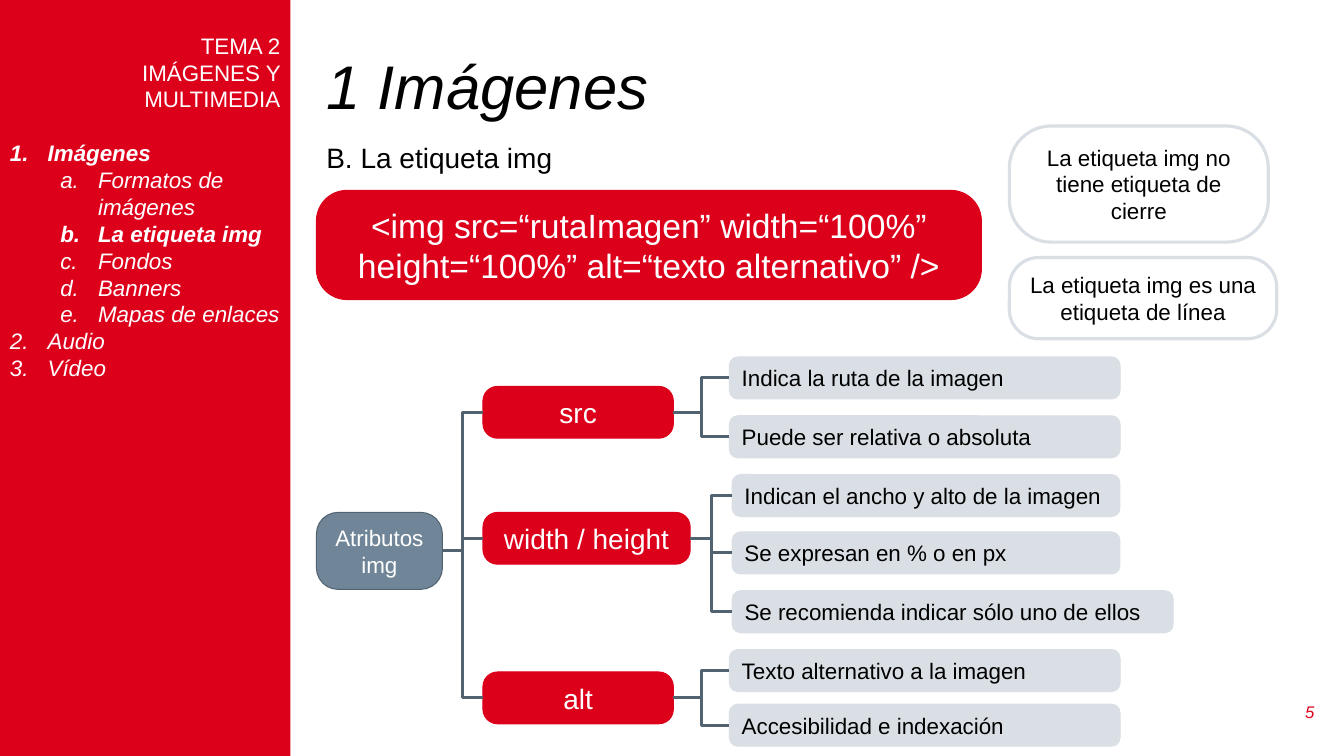
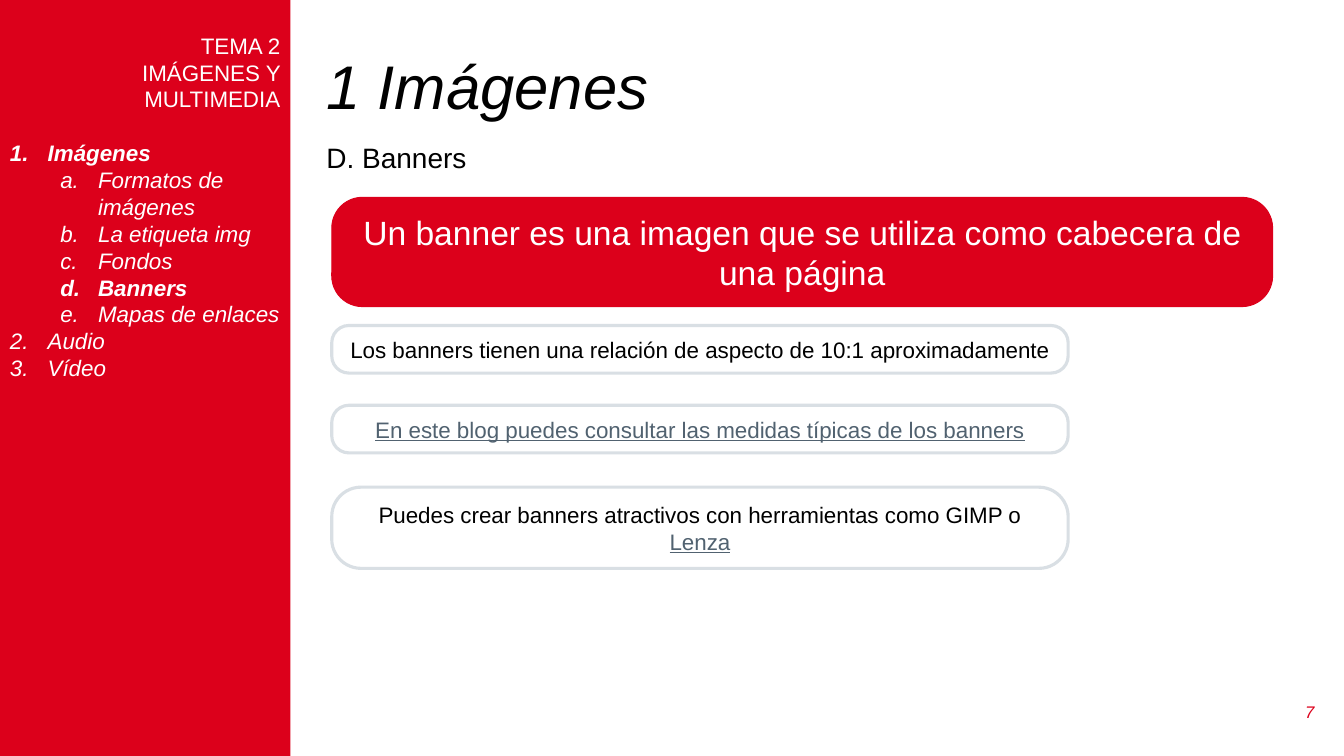
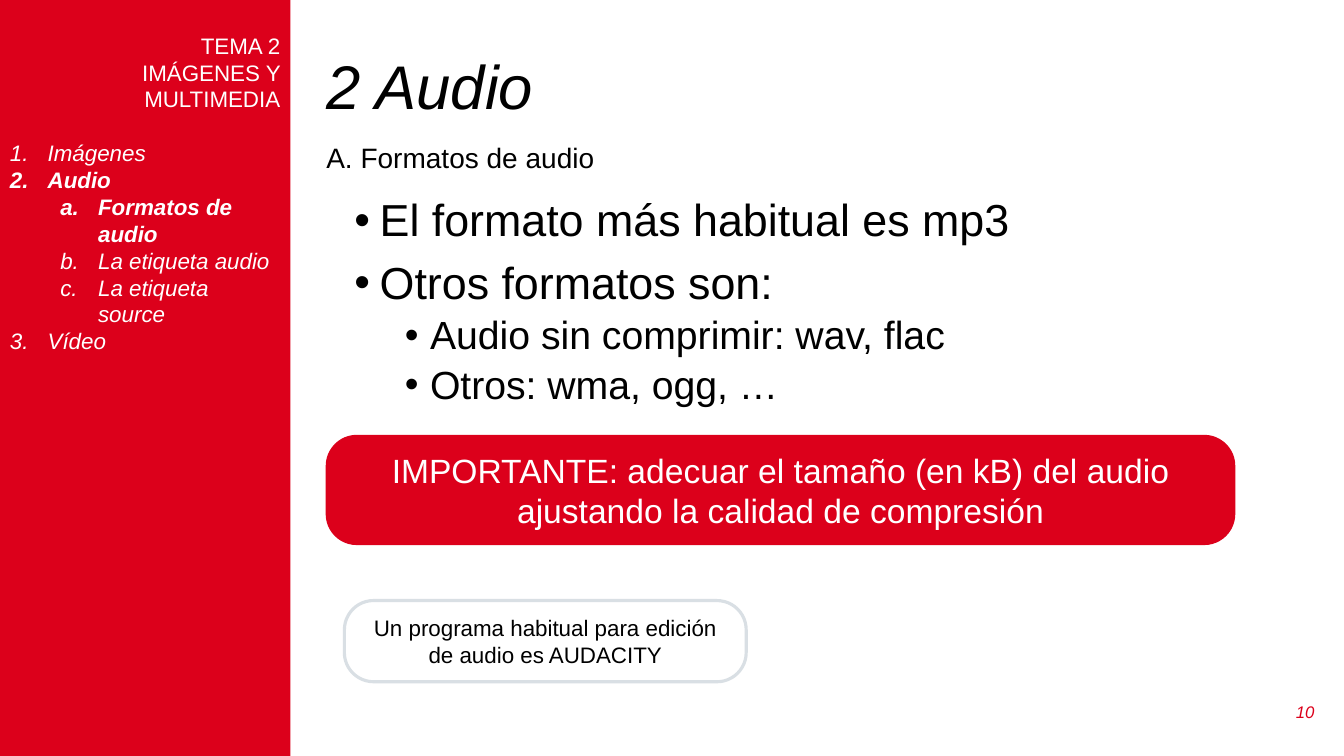
from lxml.etree import SubElement
from pptx import Presentation
from pptx.dml.color import RGBColor
from pptx.enum.shapes import MSO_CONNECTOR as Link, MSO_SHAPE as Shape
from pptx.enum.text import MSO_ANCHOR as Anchor, MSO_AUTO_SIZE as Fit, PP_ALIGN as Align
from pptx.oxml.ns import qn
from pptx.util import Pt

RED = RGBColor(0xDC, 0x00, 0x1B)
SLATE = RGBColor(0x70, 0x86, 0x98)
DARK = RGBColor(0x51, 0x62, 0x70)
PALE = RGBColor(0xD9, 0xDF, 0xE4)
WHITE = RGBColor(0xFF, 0xFF, 0xFF)
BLACK = RGBColor(0x00, 0x00, 0x00)

MENU = {
    "Imágenes": ["Formatos de imágenes", "La etiqueta img", "Fondos", "Banners", "Mapas de enlaces"],
    "Audio": ["Formatos de audio", "La etiqueta audio", "La etiqueta source"],
    "Vídeo": [],
}
LEFT = 226


class Deck:
    font = "Arial"

    def __init__(self):
        self.prs = Presentation()
        self.prs.slide_width, self.prs.slide_height = Pt(960), Pt(540)
        self.slide = None

    def style(self, para, size, color, bold=False, italic=False):
        for run in para.runs:
            font = run.font
            font.name, font.size, font.color.rgb = self.font, Pt(size), color
            font.bold, font.italic = bold, italic

    def bullet(self, para, color, left, hang, tag, **attrs):
        props = para._p.get_or_add_pPr()
        props.set("marL", str(Pt(left)))
        props.set("indent", str(-Pt(hang)))
        fill = SubElement(props, qn("a:buClr"))
        SubElement(fill, qn("a:srgbClr"), val=str(color))
        SubElement(props, qn("a:buFont"), typeface=self.font)
        SubElement(props, qn(tag), **attrs)

    def place(self, shape, x, y, w, h):
        shape.left, shape.top, shape.width, shape.height = Pt(x), Pt(y), Pt(w), Pt(h)
        frame = shape.text_frame
        frame.word_wrap, frame.auto_size = True, Fit.NONE
        return frame

    def start(self, section, topic, number, layout=5):
        self.slide = self.prs.slides.add_slide(self.prs.slide_layouts[layout])
        order = list(MENU).index(section) + 1
        frame = self.place(self.slide.shapes.title, LEFT, 36, 719, 56)
        frame.text = f"{order} {section}"
        frame.vertical_anchor = Anchor.MIDDLE
        para = frame.paragraphs[0]
        para.alignment, para.line_spacing = Align.LEFT, 0.9
        self.style(para, 44, BLACK, italic=True)
        self.menu(section, topic)
        self.label(str(number), 909, 494, 37, 29, 12, RED, Align.RIGHT, True)
        letter = "ABCDE"[MENU[section].index(topic)]
        self.label(f"{letter}. {topic}", LEFT, 96, 537, 32, 20, BLACK)

    def label(self, text, x, y, w, h, size, color, align=Align.LEFT, italic=False):
        box = self.slide.shapes.add_textbox(0, 0, 0, 0)
        frame = self.place(box, x, y, w, h)
        frame.text, frame.vertical_anchor = text, Anchor.MIDDLE
        frame.paragraphs[0].alignment = align
        self.style(frame.paragraphs[0], size, color, italic=italic)

    def menu(self, section, topic):
        band = self.slide.shapes.add_shape(Shape.RECTANGLE, 0, 0, 0, 0)
        band.shadow.inherit = False
        band.fill.solid()
        band.fill.fore_color.rgb = RED
        band.line.fill.background()
        frame = self.place(band, 0, 0, 207.36, 540)
        frame.vertical_anchor, frame.margin_top = Anchor.TOP, Pt(22.8)
        heads = ["TEMA 2", "IMÁGENES Y MULTIMEDIA"]
        items = []
        for name, topics in MENU.items():
            items.append((0, name, name == section))
            if name == section:
                items += [(1, text, text == topic) for text in topics]
        frame.text = "\n".join(heads + [text for _, text, _ in items])
        paras = frame.paragraphs
        for para in paras[:2]:
            para.alignment = Align.RIGHT
            self.style(para, 16, WHITE)
        for para, (level, _, bold) in zip(paras[2:], items):
            kind = ("arabicPeriod", "alphaLcPeriod")[level]
            self.bullet(para, WHITE, 27 + 36 * level, 27, "a:buAutoNum", type=kind)
            para.level, para.alignment = level, Align.LEFT
            self.style(para, 16, WHITE, bold, True)
        paras[2].space_before = Pt(19.2)

    def box(self, text, x, y, w, h, size, color, fill, line, width=0.75,
            round=0.28, align=Align.CENTER, link=""):
        shape = self.slide.shapes.add_shape(Shape.ROUNDED_RECTANGLE, 0, 0, 0, 0)
        shape.shadow.inherit = False
        shape.adjustments[0] = round
        if fill is None:
            shape.fill.background()
        else:
            shape.fill.solid()
            shape.fill.fore_color.rgb = fill
        shape.line.color.rgb, shape.line.width = line, Pt(width)
        frame = self.place(shape, x, y, w, h)
        frame.text, frame.vertical_anchor = text, Anchor.MIDDLE
        para = frame.paragraphs[0]
        para.alignment = align
        if link:
            para.add_run().text = link
        self.style(para, size, color)
        if link:
            font = para.runs[-1].font
            font.color.rgb, font.underline = DARK, True
        return shape

    def banner(self, text, x, y, w, h=78, size=24):
        return self.box(text, x, y, w, h, size, WHITE, RED, RED)

    def note(self, text, x, y, w, h, link=""):
        return self.box(text, x, y, w, h, 16, BLACK, None, PALE, 2.25, 0.36, link=link)

    def leaf(self, text, x, y, w):
        return self.box(text, x, y, w, 30, 16, BLACK, PALE, PALE, round=0.2, align=Align.LEFT)

    def join(self, start, end):
        line = self.slide.shapes.add_connector(Link.ELBOW, 0, 0, 0, 0)
        line.begin_connect(start, 3)
        line.end_connect(end, 1)
        line.line.color.rgb, line.line.width = DARK, Pt(2.25)
        SubElement(line._element.spPr, qn("a:effectLst"))

    def points(self, items, x, y, w, h):
        frame = self.place(self.slide.placeholders[1], x, y, w, h)
        frame.text = "\n".join(text for _, text in items)
        frame.vertical_anchor = Anchor.TOP
        for i, (para, (level, _)) in enumerate(zip(frame.paragraphs, items)):
            self.bullet(para, BLACK, 18 + 36 * level, 18, "a:buChar", char="•")
            para.level, para.line_spacing = level, 0.9
            para.space_before = Pt((10, 5)[level] if i else 0)
            self.style(para, (32, 28)[level], BLACK)


def main():
    deck = Deck()

    deck.start("Imágenes", "La etiqueta img", 5)
    deck.banner("<img src=“rutaImagen” width=“100%” height=“100%” alt=“texto alternativo” />",
                LEFT, 136, 475)
    deck.note("La etiqueta img no tiene etiqueta de cierre", 721, 90, 185, 83)
    deck.note("La etiqueta img es una etiqueta de línea", 721, 184, 191, 58)
    root = deck.box("Atributos img", LEFT, 366, 90, 55, 16, WHITE, SLATE, DARK)
    tree = [
        ("src", 276, 136, 521, [
            ("Indica la ruta de la imagen", 255, 279),
            ("Puede ser relativa o absoluta", 297, 279)]),
        ("width / height", 366, 148, 523, [
            ("Indican el ancho y alto de la imagen", 339, 277),
            ("Se expesan en % o en px".replace("expesan", "expresan"), 380, 277),
            ("Se recomienda indicar sólo uno de ellos", 422, 315)]),
        ("alt", 480, 136, 521, [
            ("Texto alternativo a la imagen", 464, 279),
            ("Accesibilidad e indexación", 503, 279)]),
    ]
    for name, y, w, x, leaves in tree:
        node = deck.banner(name, 345, y, w, 37, 20)
        deck.join(root, node)
        for text, top, wide in leaves:
            deck.join(node, deck.leaf(text, x, top, wide))

    deck.start("Imágenes", "Banners", 7)
    deck.banner("Un banner es una imagen que se utiliza como cabecera de una página", 237, 141, 672)
    notes = [
        ("Los banners tienen una relación de aspecto de 10:1 aproximadamente", "", 232.5, 34),
        ("", "En este blog puedes consultar las medidas típicas de los banners", 289.5, 34),
        ("Puedes crear banners atractivos con herramientas como GIMP o ", "Lenza", 348, 58),
    ]
    for text, link, y, h in notes:
        deck.note(text, 237, y, 526, h, link)

    deck.start("Audio", "Formatos de audio", 10, layout=1)
    deck.points([
        (0, "El formato más habitual es mp3"),
        (0, "Otros formatos son:"),
        (1, "Audio sin comprimir: wav, flac"),
        (1, "Otros: wma, ogg, …"),
    ], 246, 138, 648, 346)
    deck.banner("IMPORTANTE: adecuar el tamaño (en kB) del audio ajustando la calidad de compresión",
                233, 311, 649)
    deck.note("Un programa habitual para edición de audio es AUDACITY", 246, 429, 287, 58)

    deck.prs.save("out.pptx")


if __name__ == "__main__":
    main()
